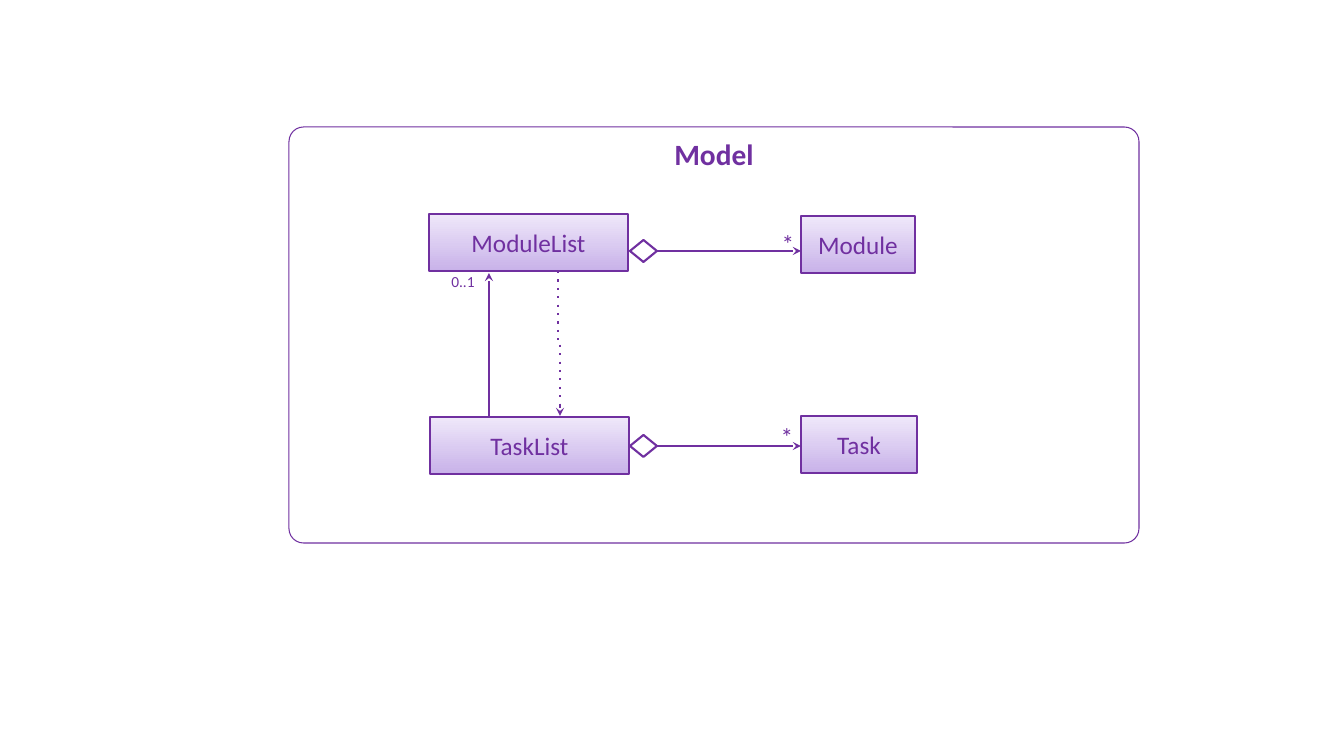
from dataclasses import dataclass

from lxml import etree
from pptx import Presentation, util as u
from pptx.dml.color import RGBColor
from pptx.enum import dml, shapes, text
from pptx.oxml.ns import qn


@dataclass(frozen=True)
class Theme:
    font: str = "Calibri"
    purple: str = "7030A0"
    white: str = "FFFFFF"
    box_bottom: str = "C8B2E9"
    box_top: str = "EFE8FA"
    heading: int = 21
    label: int = 18
    small: int = 11
    thin: float = 0.75
    thick: float = 1.5


class Diagram:
    SCALE = 914400 / 100.8

    def __init__(self, slide, theme):
        self.s = slide
        self.t = theme

    def px(self, *values):
        return [u.Emu(round(v * self.SCALE)) for v in values]

    def color(self, name):
        return RGBColor.from_string(name)

    def stroke(self, item, width):
        item.line.color.rgb = self.color(self.t.purple)
        item.line.width = u.Pt(width)

    def label(self, sp, words, size, bold=False, anchor=text.MSO_ANCHOR.TOP):
        tf = sp.text_frame
        tf.word_wrap = True
        tf.vertical_anchor = anchor
        p = tf.paragraphs[0]
        p.text = words
        p.alignment = text.PP_ALIGN.CENTER
        p.font.name = self.t.font
        p.font.size = u.Pt(size)
        p.font.bold = bold
        p.font.color.rgb = self.color(self.t.purple)
        return tf

    def shape(self, kind, at, width):
        sp = self.s.shapes.add_shape(kind, *self.px(*at))
        sp.shadow.inherit = False
        self.stroke(sp, width)
        return sp

    def container(self, at, title):
        sp = self.shape(shapes.MSO_SHAPE.ROUNDED_RECTANGLE, at, self.t.thin)
        sp.adjustments[0] = 0.035
        sp.fill.solid()
        sp.fill.fore_color.rgb = self.color(self.t.white)
        self.label(sp, title, self.t.heading, bold=True)

    def class_box(self, at, name):
        sp = self.shape(shapes.MSO_SHAPE.RECTANGLE, at, self.t.thick)
        sp.fill.gradient()
        sp.fill.gradient_angle = 90
        shades = (self.t.box_bottom, self.t.box_top)
        for position, (stop, shade) in enumerate(zip(sp.fill.gradient_stops, shades)):
            stop.position = position
            stop.color.rgb = self.color(shade)
        self.label(sp, name, self.t.label, anchor=text.MSO_ANCHOR.MIDDLE)

    def diamond(self, at):
        sp = self.shape(shapes.MSO_SHAPE.FLOWCHART_DECISION, at, self.t.thick)
        sp.fill.background()

    def multiplicity(self, at, words, size):
        sp = self.s.shapes.add_textbox(*self.px(*at))
        tf = self.label(sp, words, size)
        tf.margin_left = tf.margin_right = tf.margin_top = tf.margin_bottom = 0

    def connector(self, kind, ends):
        c = self.s.shapes.add_connector(kind, *self.px(*ends))
        self.stroke(c, self.t.thick)
        etree.SubElement(c._element.spPr, qn("a:effectLst"))
        return c

    def arrow(self, *ends):
        c = self.connector(shapes.MSO_CONNECTOR.STRAIGHT, ends)
        ln = c._element.spPr.find(qn("a:ln"))
        etree.SubElement(ln, qn("a:tailEnd"), type="stealth")

    def dotted_elbow(self, x1, y1, x2, y2):
        cx, cy = (x1 + x2) / 2, (y1 + y2) / 2
        dx, dy = (x2 - x1) / 2, (y2 - y1) / 2
        c = self.connector(
            shapes.MSO_CONNECTOR.ELBOW, (cx + dy, cy - dx, cx - dy, cy + dx)
        )
        c.line.dash_style = dml.MSO_LINE.ROUND_DOT
        spPr = c._element.spPr
        spPr.find(qn("a:xfrm")).set("rot", str(270 * 60000))
        spPr.find(qn("a:ln")).find(qn("a:prstDash")).set("val", "dot")


prs = Presentation()
theme = Theme()
d = Diagram(prs.slides.add_slide(prs.slide_layouts[6]), theme)
prs.slide_width, prs.slide_height = d.px(1344, 756)

d.container((289, 127, 850, 416), "Model")

BOX_H = 57
for name, left, top, width in (
    ("TaskList", 430, 417, 199),
    ("ModuleList", 429, 214, 199),
    ("Module", 801, 216, 114),
    ("Task", 801, 416, 116),
):
    d.class_box((left, top, width, BOX_H), name)

for middle, star_left, star_top in ((251, 777, 228), (446, 776, 421)):
    d.diamond((630, middle - 11, 27, 22))
    d.arrow(657, middle, 801, middle)
    d.multiplicity((star_left, star_top, 22, 23), "*", theme.label)

d.multiplicity((445, 272, 36, 23), "0..1", theme.small)
d.dotted_elbow(558, 271, 560, 417)
d.arrow(489, 416, 489, 273)
d.arrow(560, 404, 560, 416)

prs.save("out.pptx")
